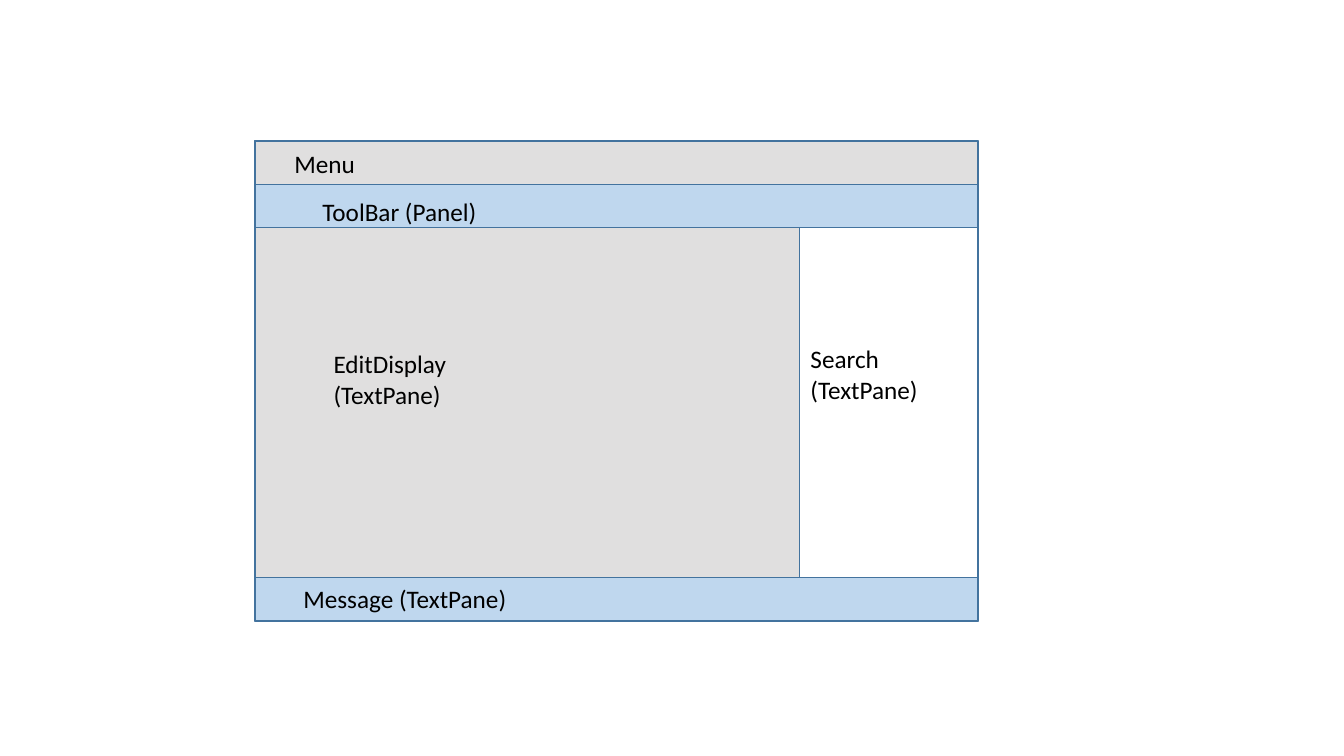
import pptx
import pptx.dml.color
import pptx.enum.shapes
import pptx.enum.text
import pptx.oxml.ns
import pptx.util
from lxml import etree
from pptx.util import Inches

GREY = pptx.dml.color.RGBColor(0xD0, 0xCE, 0xCE)
BLUE = pptx.dml.color.RGBColor(0x9D, 0xC3, 0xE6)
EDGE = pptx.dml.color.RGBColor(0x43, 0x73, 0x9E)
BLACK = pptx.dml.color.RGBColor(0, 0, 0)

LEFT, TOP, WIDTH, HEIGHT = 2.53, 1.4, 7.17, 4.76
BAR = 0.43
EDIT_WIDTH = 5.4
OPACITY = 65

FONT = {"name": "Calibri", "size": pptx.util.Pt(18)}
FRAME = {
    "word_wrap": True,
    "auto_size": pptx.enum.text.MSO_AUTO_SIZE.SHAPE_TO_FIT_TEXT,
}


def apply_format(target, values):
    """Set each named attribute of the target."""
    for name, value in values.items():
        setattr(target, name, value)


def add_pane(page, left, top, width, height, color=None):
    """Draw an outlined pane, with a translucent fill if a colour is given."""
    pane = page.shapes.add_shape(
        pptx.enum.shapes.MSO_SHAPE.RECTANGLE,
        Inches(left), Inches(top), Inches(width), Inches(height))
    pane.shadow.inherit = False
    pane.line.color.rgb = EDGE
    pane.line.width = pptx.util.Pt(1)
    if color is None:
        pane.fill.background()
        return
    pane.fill.solid()
    pane.fill.fore_color.rgb = color
    qn = pptx.oxml.ns.qn
    tint = pane._element.spPr.find(qn("a:solidFill")).find(qn("a:srgbClr"))
    etree.SubElement(tint, qn("a:alpha")).set("val", str(OPACITY * 1000))


def add_label(page, text, left, top, width, height=0.4):
    """Write a pane's label in a text box."""
    box = page.shapes.add_textbox(
        Inches(left), Inches(top), Inches(width), Inches(height))
    apply_format(box.text_frame, FRAME)
    span = box.text_frame.paragraphs[0].add_run()
    span.text = text
    apply_format(span.font, FONT)
    span.font.color.rgb = BLACK


def main():
    """Build the editor window layout slide."""
    deck = pptx.Presentation()
    apply_format(deck, {"slide_width": Inches(13.33), "slide_height": Inches(7.5)})
    page = deck.slides.add_slide(deck.slide_layouts[6])

    edit_top = TOP + 2 * BAR
    message_top = TOP + HEIGHT - BAR
    add_pane(page, LEFT, TOP, WIDTH, HEIGHT)
    for top, color in ((TOP, GREY), (TOP + BAR, BLUE), (message_top, BLUE)):
        add_pane(page, LEFT, top, WIDTH, BAR, color)
    add_pane(page, LEFT, edit_top, EDIT_WIDTH, message_top - edit_top, GREY)

    add_label(page, "Menu", 2.82, 1.42, 1.32)
    add_label(page, "ToolBar (Panel)", 3.1, 1.9, 1.76)
    add_label(page, "Message (TextPane)", 2.91, 5.74, 2.32)
    add_label(page, "EditDisplay (TextPane)", 3.21, 3.41, 1.54, 0.71)
    add_label(page, "Search (TextPane)", 7.94, 3.36, 1.76, 0.71)
    deck.save("out.pptx")


if __name__ == "__main__":
    main()
